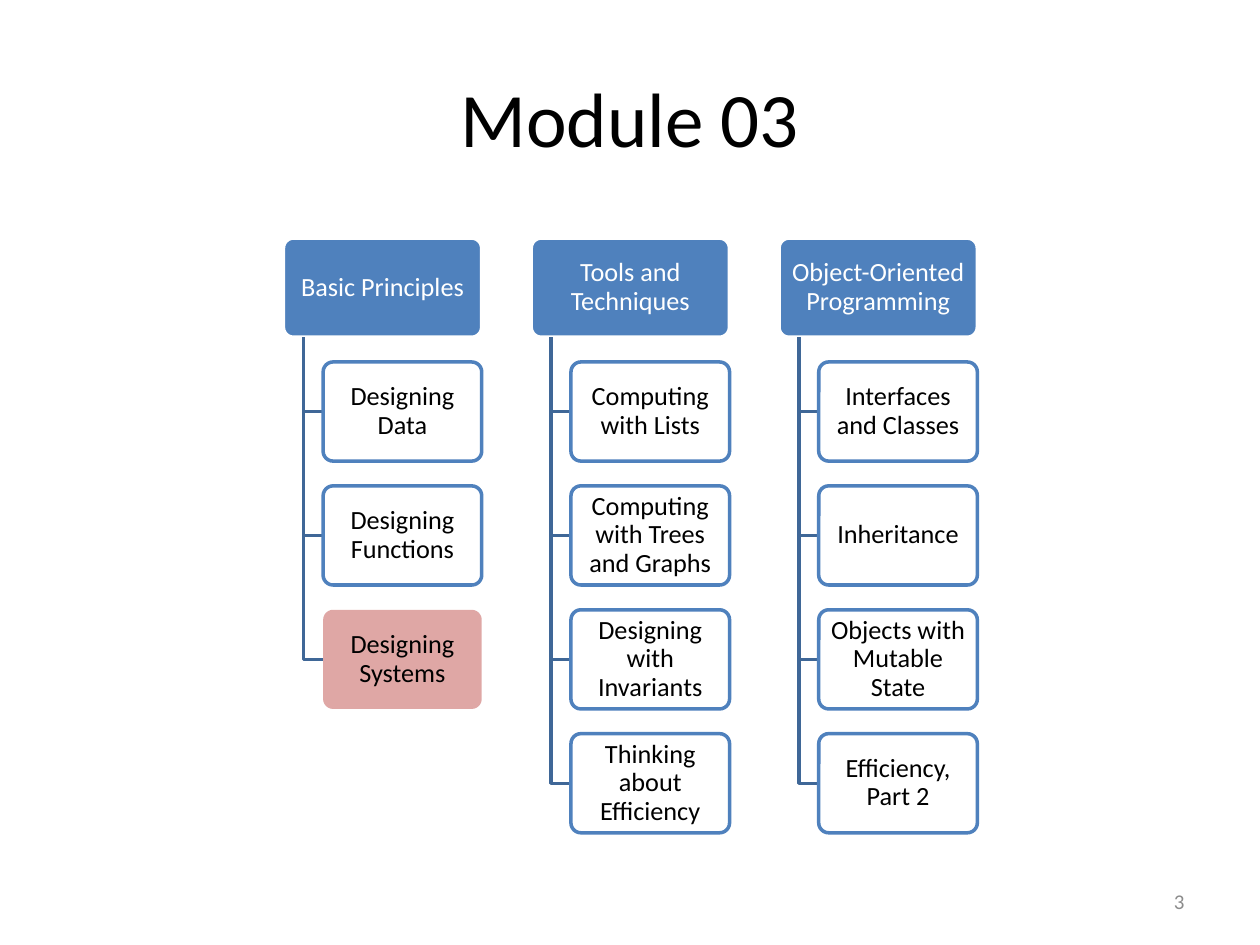
import pptx
import pptx.dml.color
import pptx.enum.shapes
import pptx.enum.text
import pptx.oxml
import pptx.oxml.ns
import pptx.util
from pptx.util import Inches

RGBColor = pptx.dml.color.RGBColor
ALIGN = pptx.enum.text.PP_ALIGN

BLACK = RGBColor(0x00, 0x00, 0x00)
WHITE = RGBColor(0xFF, 0xFF, 0xFF)
GRAY = RGBColor(0x8C, 0x8C, 0x8C)
BLUE = RGBColor(0x4F, 0x81, 0xBD)
DARK_BLUE = RGBColor(0x3F, 0x67, 0x97)
RED = RGBColor(0xC0, 0x50, 0x4D)

CURRENT_TOPIC = "Designing Systems"
MODULES = [
    ("Basic Principles",
     ["Designing Data", "Designing Functions", CURRENT_TOPIC]),
    ("Tools and Techniques",
     ["Computing with Lists", "Computing with Trees and Graphs",
      "Designing with Invariants", "Thinking about Efficiency"]),
    ("Object-Oriented Programming",
     ["Interfaces and Classes", "Inheritance",
      "Objects with Mutable State", "Efficiency, Part 2"]),
]


def write_text(shape, text, size, color, align=ALIGN.CENTER):
    frame = shape.text_frame
    frame.word_wrap = True
    frame.vertical_anchor = pptx.enum.text.MSO_ANCHOR.MIDDLE
    para = frame.paragraphs[0]
    para.alignment = align
    span = para.add_run()
    span.text = text
    span.font.name = "Calibri"
    span.font.size = pptx.util.Pt(size)
    span.font.color.rgb = color


def add_label(page, box, text, size, color, align=ALIGN.CENTER):
    write_text(page.shapes.add_textbox(*box), text, size, color, align)


def set_opacity(shape, percent):
    color = shape.fill._xPr.find(".//" + pptx.oxml.ns.qn("a:srgbClr"))
    alpha = pptx.oxml.parse_xml(
        f'<a:alpha {pptx.oxml.ns.nsdecls("a")} val="{percent * 1000}"/>')
    color.append(alpha)


def add_card(page, box, text, fill, line, color, opacity=100):
    """Add a rounded card; a line of None leaves it without an outline."""
    card = page.shapes.add_shape(
        pptx.enum.shapes.MSO_SHAPE.ROUNDED_RECTANGLE, *box)
    card.adjustments[0] = 0.1
    card.shadow.inherit = False
    card.fill.solid()
    card.fill.fore_color.rgb = fill
    if opacity < 100:
        set_opacity(card, opacity)
    if line is None:
        card.line.fill.background()
    else:
        card.line.color.rgb = line
        card.line.width = pptx.util.Pt(2)
    frame = card.text_frame
    frame.margin_left = frame.margin_right = Inches(0.05)
    frame.margin_top = frame.margin_bottom = Inches(0.05)
    write_text(card, text, 15, color)
    frame.paragraphs[0].line_spacing = 0.9


def add_branch(page, left, top, right, bottom):
    """Draw a line down from the header, then right to a topic."""
    builder = page.shapes.build_freeform(left, top)
    builder.add_line_segments([(left, bottom), (right, bottom)], close=False)
    branch = builder.convert_to_shape()
    branch.shadow.inherit = False
    branch.fill.background()
    branch.line.color.rgb = DARK_BLUE
    branch.line.width = pptx.util.Pt(2)


def add_module(page, left, top, height, name, topics):
    """Place a header and its topics, all sized from the card height."""
    width = 2 * height
    indent = width // 5
    add_card(page, (left, top, width, height), name, BLUE, WHITE, WHITE)
    for row, topic in enumerate(topics, start=1):
        topic_top = top + row * height * 5 // 4
        add_branch(page, left + indent // 2, top + height,
                   left + indent, topic_top + height // 2)
        box = (left + indent, topic_top, width - indent, height)
        if topic == CURRENT_TOPIC:
            add_card(page, box, topic, RED, None, BLACK, opacity=50)
        else:
            add_card(page, box, topic, WHITE, BLUE, BLACK, opacity=90)


def add_module_map(page, left, top, total_height):
    """Fill the height with five rows of cards and quarter-height gaps."""
    height = total_height // 6
    for column, (name, topics) in enumerate(MODULES):
        add_module(page, left + column * height * 5 // 2, top, height,
                   name, topics)


def main():
    deck = pptx.Presentation()
    deck.slide_width = Inches(10)
    deck.slide_height = Inches(7.5)
    page = deck.slides.add_slide(deck.slide_layouts[6])
    add_label(page, (Inches(0.5), Inches(0.3), Inches(9), Inches(1.25)),
              "Module 03", 44, BLACK)
    add_label(page, (Inches(7.17), Inches(6.95), Inches(2.33), Inches(0.4)),
              "3", 12, GRAY, ALIGN.RIGHT)
    add_module_map(page, Inches(2.25), Inches(1.89), Inches(4.72))
    deck.save("out.pptx")


if __name__ == "__main__":
    main()
